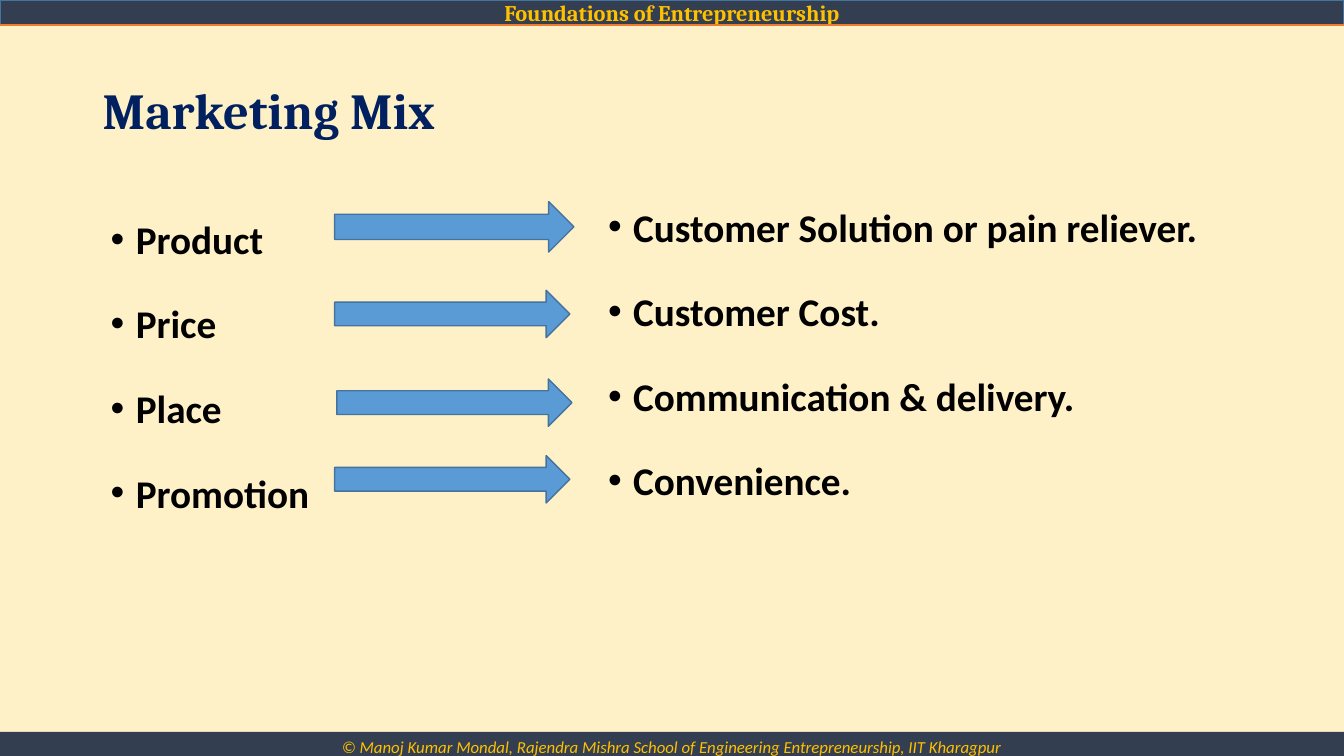
from lxml import etree
from pptx import Presentation
from pptx import util as u
from pptx.dml.color import RGBColor
from pptx.enum import shapes, text
from pptx.oxml import ns

CREAM = RGBColor(0xFF, 0xF1, 0xC7)
SLATE = RGBColor(0x33, 0x3F, 0x50)
GOLD = RGBColor(0xFF, 0xC0, 0x00)
NAVY = RGBColor(0x00, 0x20, 0x60)
BLACK = RGBColor(0x00, 0x00, 0x00)
ORANGE = RGBColor(0xED, 0x7D, 0x31)
BLUE = RGBColor(0x5B, 0x9B, 0xD5)
EDGE = RGBColor(0x43, 0x73, 0x9E)

HEAD = dict(name="Cambria", size=u.Pt(16), bold=True)
FOOT = dict(name="Calibri", size=u.Pt(12), italic=True)
TITLE = dict(name="Cambria", size=u.Pt(36), bold=True)
BODY = dict(name="Calibri", size=u.Pt(28), bold=True)


class Deck:
    def __init__(self, wide, high):
        self.prs = Presentation()
        self.prs.slide_width = self.wide = u.Inches(wide)
        self.prs.slide_height = self.high = u.Inches(high)
        self.slide = self.prs.slides.add_slide(self.prs.slide_layouts[6])
        fill = self.slide.background.fill
        fill.solid()
        fill.fore_color.rgb = CREAM

    def place(self, x, y, w, h):
        sides = (self.wide, self.high) * 2
        return [int(side * part / 100) for side, part in zip(sides, (x, y, w, h))]

    def label(self, para, words, style, color):
        para.text = words
        for key, value in style.items():
            setattr(para.font, key, value)
        para.font.color.rgb = color

    def shape(self, kind, area, fill, edge=None):
        item = self.slide.shapes.add_shape(kind, *self.place(*area))
        item.shadow.inherit = False
        item.fill.solid()
        item.fill.fore_color.rgb = fill
        if edge is None:
            item.line.fill.background()
        else:
            item.line.color.rgb = edge
            item.line.width = u.Pt(1)
        return item

    def band(self, area, words, style, anchor, edge=None):
        item = self.shape(shapes.MSO_SHAPE.RECTANGLE, area, SLATE, edge)
        frame = item.text_frame
        frame.word_wrap = True
        frame.vertical_anchor = anchor
        para = frame.paragraphs[0]
        para.alignment = text.PP_ALIGN.CENTER
        self.label(para, words, style, GOLD)

    def rule(self, y):
        left, top, right, base = self.place(0, y, 100, y)
        line = self.slide.shapes.add_connector(
            shapes.MSO_CONNECTOR.STRAIGHT, left, top, right, base)
        line.line.color.rgb = ORANGE
        line.line.width = u.Pt(1.5)
        etree.SubElement(line._element.spPr, ns.qn("a:effectLst"))

    def frame(self, area, anchor):
        frame = self.slide.shapes.add_textbox(*self.place(*area)).text_frame
        frame.word_wrap = True
        frame.vertical_anchor = anchor
        return frame

    def title(self, area, words):
        para = self.frame(area, text.MSO_ANCHOR.MIDDLE).paragraphs[0]
        para.line_spacing = 0.9
        self.label(para, words, TITLE, NAVY)

    def bullets(self, area, items):
        frame = self.frame(area, text.MSO_ANCHOR.TOP)
        dent = u.Inches(0.25)
        for num, words in enumerate(items):
            para = frame.add_paragraph() if num else frame.paragraphs[0]
            para.line_spacing = 1.5
            if num:
                para.space_before = u.Pt(10)
            props = para._p.get_or_add_pPr()
            props.set("marL", str(dent))
            props.set("indent", str(-dent))
            etree.SubElement(props, ns.qn("a:buFont"), typeface="Arial")
            etree.SubElement(props, ns.qn("a:buChar"), char="•")
            self.label(para, words, BODY, BLACK)

    def arrow(self, area):
        self.shape(shapes.MSO_SHAPE.RIGHT_ARROW, area, BLUE, EDGE)


def main():
    deck = Deck(13.33, 7.5)
    deck.band((0, 0, 100, 3.33), "Foundations of Entrepreneurship",
              HEAD, text.MSO_ANCHOR.MIDDLE, EDGE)
    deck.rule(3.33)
    deck.band((0, 96.8, 100, 4),
              "© Manoj Kumar Mondal, Rajendra Mishra School of Engineering "
              "Entrepreneurship, IIT Kharagpur",
              FOOT, text.MSO_ANCHOR.TOP)
    deck.title((6.9, 5.33, 86.25, 19.33), "Marketing Mix")
    deck.bullets((7.5, 24.67, 26.5, 63.5),
                 ["Product", "Price", "Place", "Promotion"])
    deck.bullets((44.5, 23.07, 51.4, 44.8),
                 ["Customer Solution or pain reliever.", "Customer Cost.",
                  "Communication & delivery.", "Convenience."])
    for area in [(24.9, 26.67, 17.8, 6.67), (24.9, 38.4, 17.5, 6.27),
                 (25.06, 50.13, 17.5, 6.27), (24.9, 60.27, 17.5, 6.27)]:
        deck.arrow(area)
    deck.prs.save("out.pptx")


if __name__ == "__main__":
    main()
